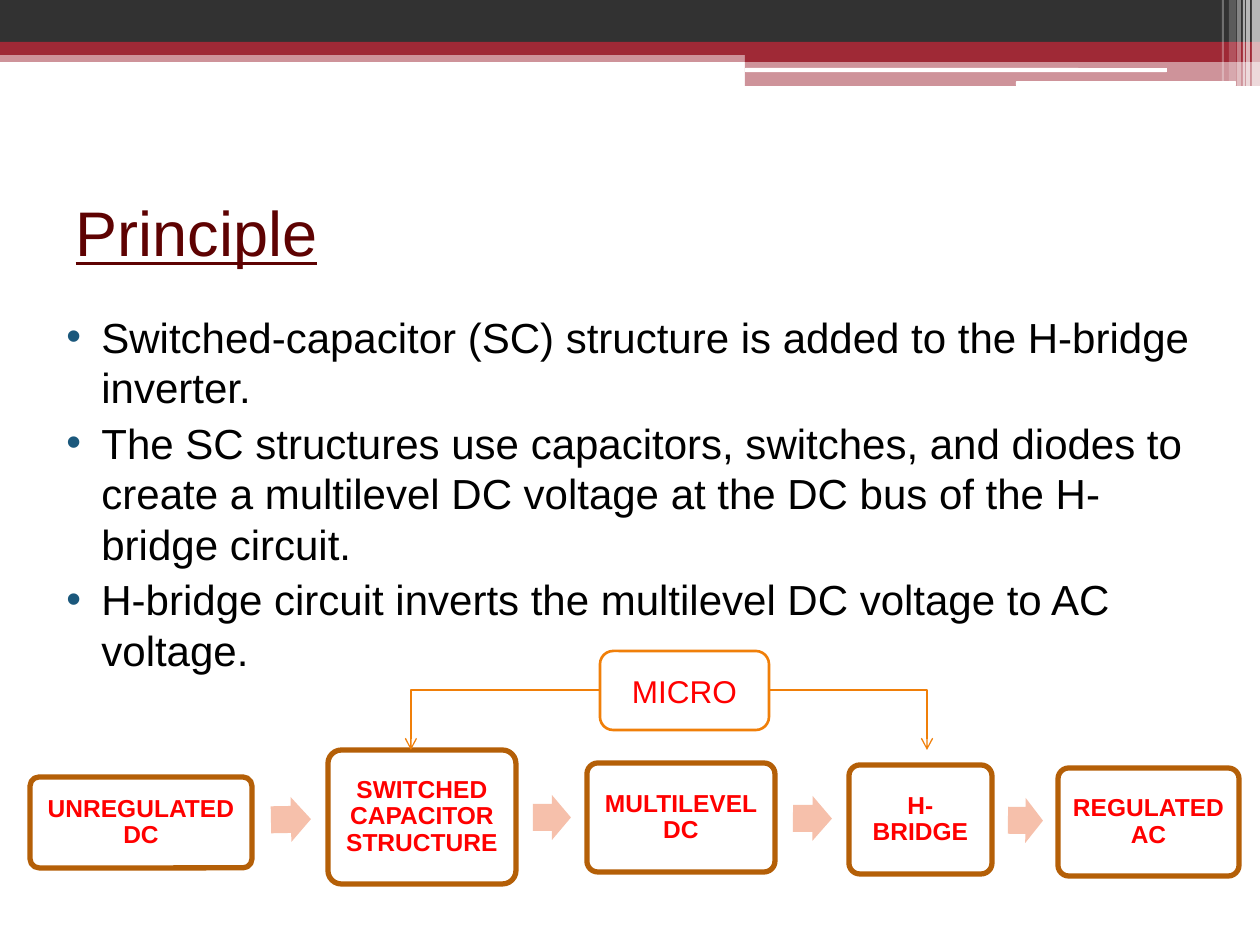
"""Build the Principle slide: a banner, three bullets and a block diagram."""
import pptx
import pptx.util
import pptx.dml.color
import pptx.enum.shapes
import pptx.enum.text
import pptx.oxml
import pptx.oxml.ns
from lxml import etree

PX = 914400 // 126
FONT = "Arial"
SHAPE = pptx.enum.shapes.MSO_SHAPE
ALIGN = pptx.enum.text.PP_ALIGN
MIDDLE = pptx.enum.text.MSO_ANCHOR.MIDDLE
COLORS = {"dark": "323232", "red": "9F2936", "white": "FFFFFF", "title": "5E0202",
          "black": "000000", "bullet": "1B587C", "label": "FF0000",
          "border": "B45F07", "orange": "F07F09", "arrow": "F6C0AB"}

TITLE = "Principle"
BULLETS = [
    "Switched-capacitor (SC) structure is added to the H-bridge inverter.",
    "The SC structures use capacitors, switches, and diodes to create a multilevel "
    "DC voltage at the DC bus of the H-bridge circuit.",
    "H-bridge circuit inverts the multilevel DC voltage to AC voltage.",
]
BANNER = [
    ((0, 50, 1260, 12), "red", 50), ((0, 0, 1260, 43), "dark", 100),
    ((0, 42, 1260, 13), "red", 100), ((745, 49, 515, 13), "red", 100),
    ((745, 61, 515, 25), "red", 50),
]
RULES = [(745, 68, 422, 4), (1016, 81, 220, 5)]
STRIPES = [(1252, 8, 86, 65), (1246, 4, 86, 65), (1243, 2, 86, 60),
           (1237, 4, 86, 40), (1229, 7, 81, 20), (1222, 2, 81, 30)]
STAGES = [
    ("UNREGULATED DC", (30, 777, 222, 91)),
    ("SWITCHED CAPACITOR STRUCTURE", (328, 750, 188, 134)),
    ("MULTILEVEL DC", (587, 763, 188, 109)),
    ("H-BRIDGE", (849, 765, 143, 109)),
    ("REGULATED AC", (1058, 768, 181, 108)),
]
ARROWS = [(271, 797, 40, -1), (533, 795, 38, 0), (793, 796, 39, 0.5), (1008, 798, 35, 0.6)]
CONTROLLER = ("MICRO", (600, 651, 169, 79))
LINKS = [(769, 927), (600, 411)]
LINK_TOP, LINK_BOTTOM = 690, 750


def emu(*lengths):
    return [round(n * PX) for n in lengths]


def rgb(name):
    return pptx.dml.color.RGBColor.from_string(COLORS[name])


def add_xml(parent, tag, **attrs):
    child = etree.SubElement(parent, pptx.oxml.ns.qn(tag))
    for key, value in attrs.items():
        child.set(key, str(value))
    return child


def add_block(kind, box, fill, alpha=100, line=None, width=0, adj=None):
    sp = s.shapes.add_shape(kind, *emu(*box))
    sp.shadow.inherit = False
    sp.fill.solid()
    sp.fill.fore_color.rgb = rgb(fill)
    if alpha < 100:
        color = sp.fill._xPr.find(".//" + pptx.oxml.ns.qn("a:srgbClr"))
        add_xml(color, "a:alpha", val=alpha * 1000)
    if line:
        sp.line.color.rgb = rgb(line)
        sp.line.width = pptx.util.Pt(width)
    else:
        sp.line.fill.background()
    if adj is not None:
        sp.adjustments[0] = adj
    return sp


def style(p, size, color, align=ALIGN.LEFT, **flags):
    p.alignment = align
    for r in p.runs:
        r.font.name = FONT
        r.font.size = pptx.util.Pt(size)
        r.font.color.rgb = rgb(color)
        for key, value in flags.items():
            setattr(r.font, key, value)


def add_label(sp, text, size, margin, **flags):
    tf = sp.text_frame
    tf.word_wrap = True
    tf.vertical_anchor = MIDDLE
    tf.margin_left = tf.margin_right = tf.margin_top = tf.margin_bottom = emu(margin)[0]
    tf.text = text
    style(tf.paragraphs[0], size, "label", ALIGN.CENTER, **flags)
    return tf.paragraphs[0]


def add_link(x1, x2):
    kind = pptx.enum.shapes.MSO_CONNECTOR.ELBOW
    link = s.shapes.add_connector(kind, *emu(x1, LINK_TOP, x2, LINK_BOTTOM))
    link.line.color.rgb = rgb("orange")
    link.line.width = pptx.util.Pt(0.75)
    add_xml(link.line._get_or_add_ln(), "a:tailEnd", type="arrow")
    sp_pr = link._element.spPr
    add_xml(sp_pr, "a:effectLst")
    guides = sp_pr.find(".//" + pptx.oxml.ns.qn("a:avLst"))
    if guides is None:
        guides = add_xml(sp_pr.find(pptx.oxml.ns.qn("a:prstGeom")), "a:avLst")
    add_xml(guides, "a:gd", name="adj1", fmla="val 100000")


prs = pptx.Presentation()
prs.slide_width, prs.slide_height = emu(1260, 945)
s = prs.slides.add_slide(prs.slide_layouts[5])

for box, fill, alpha in BANNER:
    add_block(SHAPE.RECTANGLE, box, fill, alpha)
for box in RULES:
    add_block(SHAPE.ROUNDED_RECTANGLE, box, "white", adj=0.17)
for left, width, height, alpha in STRIPES:
    add_block(SHAPE.RECTANGLE, (left, 0, width, height), "white", alpha)

title = s.shapes.title
title.left, title.top, title.width, title.height = emu(63, 158, 1134, 147)
title.text_frame.text = TITLE
title.text_frame.vertical_anchor = MIDDLE
style(title.text_frame.paragraphs[0], 36, "title", underline=True)

body = s.shapes.add_textbox(*emu(39, 305, 1182, 596))
tf = body.text_frame
tf.word_wrap = True
tf.text = "\n".join(BULLETS)
for p in tf.paragraphs:
    style(p, 24, "black")
    p.space_before = pptx.util.Pt(3)
    pPr = p._p.get_or_add_pPr()
    pPr.set("marL", str(emu(50)[0]))
    pPr.set("indent", str(emu(-35)[0]))
    add_xml(add_xml(pPr, "a:buClr"), "a:srgbClr", val=COLORS["bullet"])
    add_xml(pPr, "a:buFont", typeface=FONT)
    add_xml(pPr, "a:buChar", char="•")

for text, box in STAGES:
    sp = add_block(SHAPE.ROUNDED_RECTANGLE, box, "white", line="border", width=3, adj=0.1)
    add_label(sp, text, 14, 8, bold=True).line_spacing = 0.9
for left, top, width, angle in ARROWS:
    sp = add_block(SHAPE.RIGHT_ARROW, (left, top, width, 45), "arrow", adj=0.6)
    sp.rotation = angle

text, box = CONTROLLER
add_label(add_block(SHAPE.ROUNDED_RECTANGLE, box, "white", line="orange", width=1.5), text, 18, 6)
for x1, x2 in LINKS:
    add_link(x1, x2)

prs.save("out.pptx")
